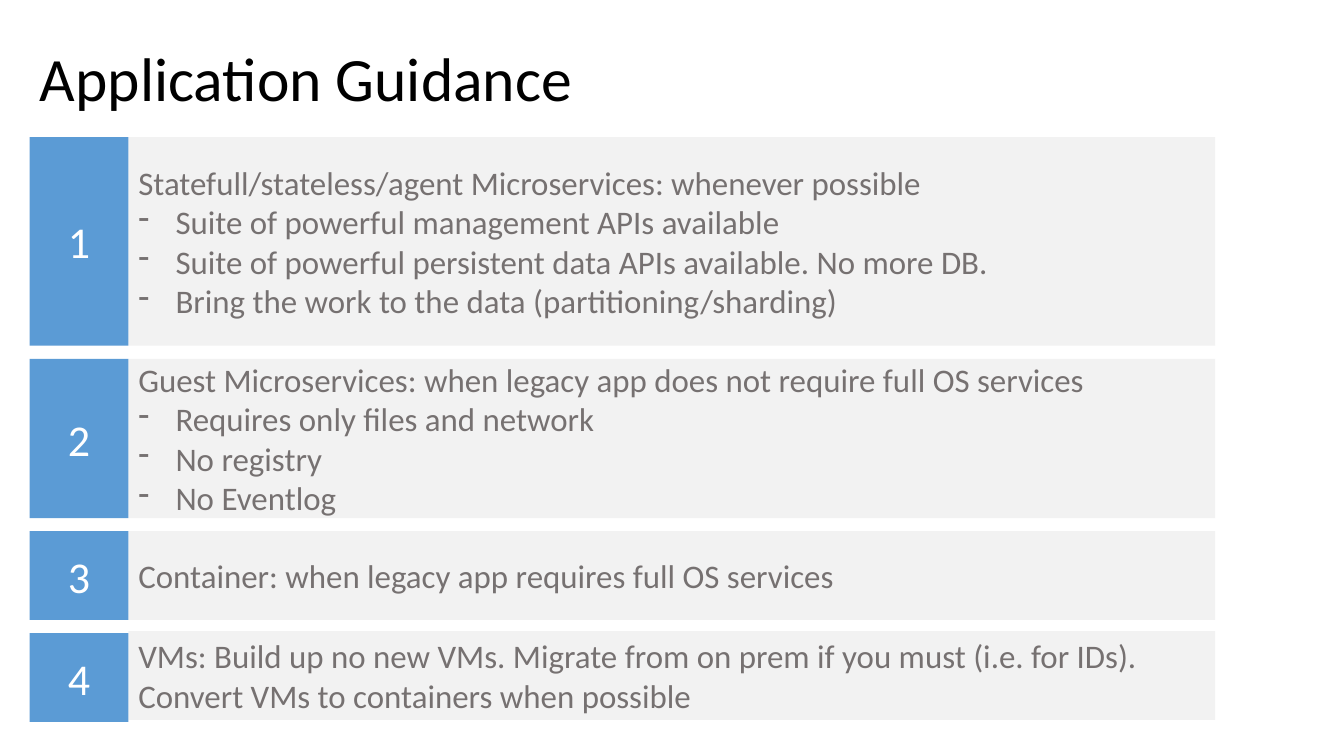
from pptx import Presentation
from pptx.dml.color import RGBColor
from pptx.enum import shapes, text
from pptx.oxml.ns import qn
from pptx.util import Pt
from lxml import etree

LEFT, TOP, GAP = 21.2, 97.9, 9.35
BADGE, BODY = 70.5, 776.2
HANG = 26.6

TITLE = dict(name="Calibri", size=Pt(44))
NUMBER = dict(name="Calibri", size=Pt(31.4))
WORDS = dict(name="Calibri", size=Pt(23.5))

# Height, shift of the body against its badge, lines (the first is the heading)
ROWS = [
    (149, 0, ["Statefull/stateless/agent Microservices: whenever possible",
              "Suite of powerful management APIs available",
              "Suite of powerful persistent data APIs available. No more DB.",
              "Bring the work to the data (partitioning/sharding)"]),
    (113.8, 0, ["Guest Microservices: when legacy app does not require full OS services",
                "Requires only files and network",
                "No registry",
                "No Eventlog"]),
    (63.4, 0, ["Container: when legacy app requires full OS services"]),
    (63.4, -1.4, ["VMs: Build up no new VMs. Migrate from on prem if you must "
                  "(i.e. for IDs). Convert VMs to containers when possible"]),
]


def color(code):
    return RGBColor.from_string(code)


def style(font, look, code):
    for key, value in look.items():
        setattr(font, key, value)
    font.color.rgb = color(code)


def dash(para):
    """Give the paragraph a hanging dash bullet."""
    props = para._p.get_or_add_pPr()
    props.set("marL", str(Pt(HANG)))
    props.set("indent", str(-Pt(HANG)))
    etree.SubElement(props, qn("a:buFontTx"))
    etree.SubElement(props, qn("a:buChar")).set("char", "-")


def add_panel(slide, box, fill, lines, look, ink, align):
    """Draw a filled box; lines after the first are bulleted."""
    panel = slide.shapes.add_shape(shapes.MSO_SHAPE.RECTANGLE, *map(Pt, box))
    panel.shadow.inherit = False
    panel.fill.solid()
    panel.fill.fore_color.rgb = color(fill)
    panel.line.fill.background()
    frame = panel.text_frame
    frame.word_wrap = True
    frame.vertical_anchor = text.MSO_ANCHOR.MIDDLE
    for i, line in enumerate(lines):
        para = frame.add_paragraph() if i else frame.paragraphs[0]
        para.alignment = align
        if i:
            dash(para)
        para.add_run().text = line
        style(para.font, look, ink)


def add_row(slide, box, shift, number, lines):
    left, top, width, height = box
    add_panel(slide, (left + BADGE, top + shift, width - BADGE, height),
              "F2F2F2", lines, WORDS, "767171", text.PP_ALIGN.LEFT)
    add_panel(slide, (left, top, BADGE, height),
              "5B9BD5", [str(number)], NUMBER, "FFFFFF", text.PP_ALIGN.CENTER)


def add_title(slide, box, words):
    title = slide.shapes.title
    for key, value in zip(("left", "top", "width", "height"), box):
        setattr(title, key, Pt(value))
    frame = title.text_frame
    frame.text = words
    frame.word_wrap = True
    frame.auto_size = text.MSO_AUTO_SIZE.NONE
    frame.vertical_anchor = text.MSO_ANCHOR.MIDDLE
    para = frame.paragraphs[0]
    para.alignment = text.PP_ALIGN.LEFT
    para.line_spacing = 0.9
    style(para.font, TITLE, "000000")


def main():
    deck = Presentation()
    deck.slide_width, deck.slide_height = Pt(960), Pt(540)
    slide = deck.slides.add_slide(deck.slide_layouts[5])
    add_title(slide, (LEFT, 23, 688.3, 70.6), "Application Guidance")
    top = TOP
    for number, (height, shift, lines) in enumerate(ROWS, 1):
        add_row(slide, (LEFT, top, BADGE + BODY, height), shift, number, lines)
        top += height + GAP
    deck.save("out.pptx")


if __name__ == "__main__":
    main()
